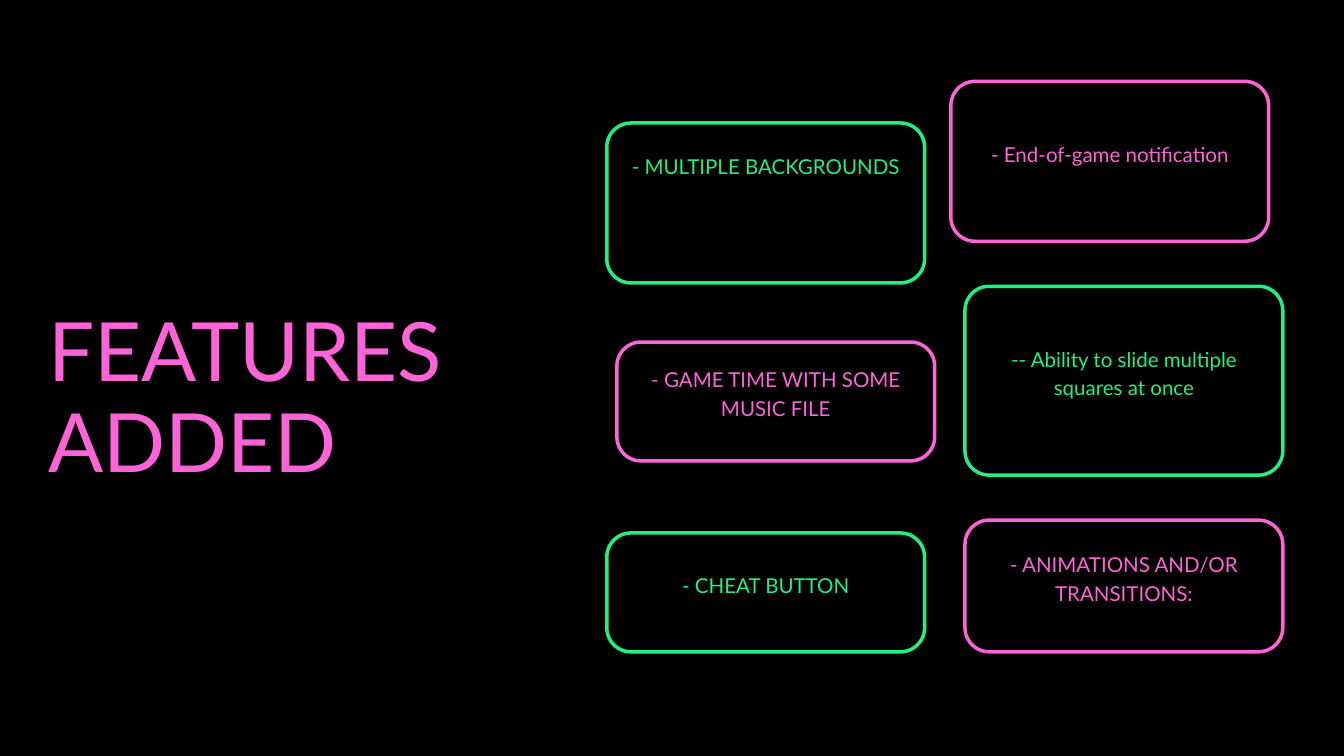
from pptx import Presentation
from pptx.dml.color import RGBColor
from pptx.enum.shapes import MSO_SHAPE
from pptx.enum.text import MSO_ANCHOR, PP_ALIGN
from pptx.util import Inches, Pt

BLACK = RGBColor(0x00, 0x00, 0x00)
GREEN = RGBColor(0x21, 0xEF, 0x80)
PINK = RGBColor(0xFF, 0x63, 0xD8)

ROUNDED = MSO_SHAPE.ROUNDED_RECTANGLE
MIDDLE, TOP = MSO_ANCHOR.MIDDLE, MSO_ANCHOR.TOP
CENTER, LEFT = PP_ALIGN.CENTER, PP_ALIGN.LEFT

CARD_W = 23.65  # percent of the slide width
RADIUS = Inches(0.36)
LIFT = 0.14  # inches the card text sits above the middle


class Deck:
    """Style and current slide; positions are percentages of the slide size."""

    font = "Lato"

    def __init__(self, width, height):
        self.prs = Presentation()
        self.prs.slide_width, self.prs.slide_height = Inches(width), Inches(height)
        self.s = self.prs.slides.add_slide(self.prs.slide_layouts[6])
        fill = self.s.background.fill
        fill.solid()
        fill.fore_color.rgb = BLACK

    def box(self, x, y, w, h):
        sw, sh = self.prs.slide_width, self.prs.slide_height
        return [int(v * side / 100) for v, side in ((x, sw), (y, sh), (w, sw), (h, sh))]

    def add_text(self, sp, text, size, color, align, anchor, leading, side=0, bottom=0):
        tf = sp.text_frame
        tf.word_wrap = True
        tf.vertical_anchor = anchor
        tf.margin_left = tf.margin_right = Inches(side)
        tf.margin_top, tf.margin_bottom = 0, Inches(bottom)
        p = tf.paragraphs[0]
        p.alignment = align
        p.line_spacing = Pt(leading)
        r = p.add_run()
        r.text = text
        r.font.name, r.font.size = self.font, Pt(size)
        r.font.color.rgb = color

    def title(self, x, y, w, h, text):
        sp = self.s.shapes.add_textbox(*self.box(x, y, w, h))
        self.add_text(sp, text, 87.5, PINK, LEFT, TOP, 98)

    def card(self, x, y, h, text, color, lift=LIFT):
        sp = self.s.shapes.add_shape(ROUNDED, *self.box(x, y, CARD_W, h))
        sp.adjustments[0] = RADIUS / min(sp.width, sp.height)
        sp.shadow.inherit = False
        sp.fill.solid()
        sp.fill.fore_color.rgb = BLACK
        sp.line.color.rgb = color
        sp.line.width = Pt(3.75)
        self.add_text(sp, text, 22, color, CENTER, MIDDLE, 30.8, 0.17, 2 * lift)


def main():
    deck = Deck(20, 11.25)

    # Title
    deck.title(3.6, 40.53, 41.5, 25.07, "FEATURES ADDED")

    # Left column of feature cards
    deck.card(45.15, 16.27, 21.16, "- MULTIPLE BACKGROUNDS", GREEN, lift=0.57)
    deck.card(45.9, 45.24, 15.73, "- GAME TIME WITH SOME MUSIC FILE", PINK)
    deck.card(45.15, 70.49, 15.73, "- CHEAT BUTTON", GREEN)

    # Right column of feature cards
    deck.card(70.75, 10.76, 21.16, "- End-of-game notification", PINK)
    deck.card(71.8, 37.87, 24.98, "-- Ability to slide multiple squares at once", GREEN)
    deck.card(71.8, 68.8, 17.42, "- ANIMATIONS AND/OR TRANSITIONS:", PINK)

    deck.prs.save("out.pptx")


if __name__ == "__main__":
    main()
